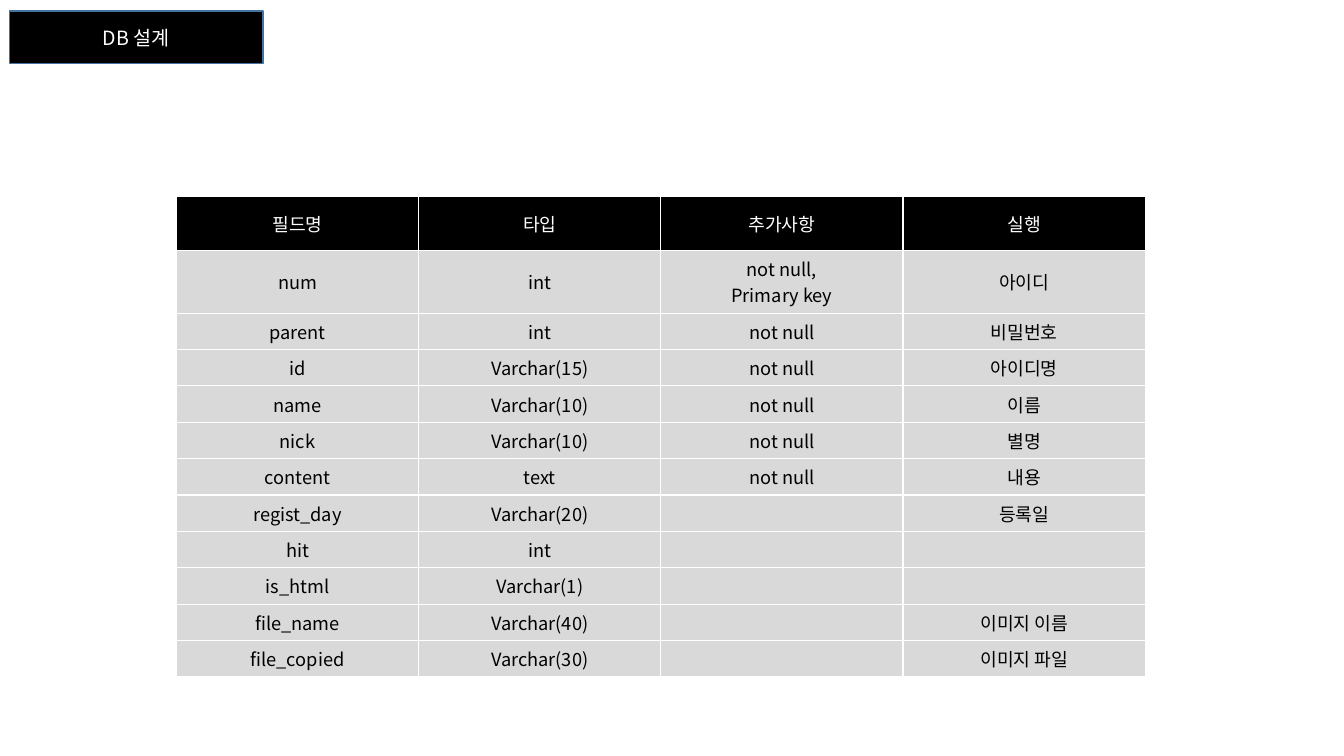
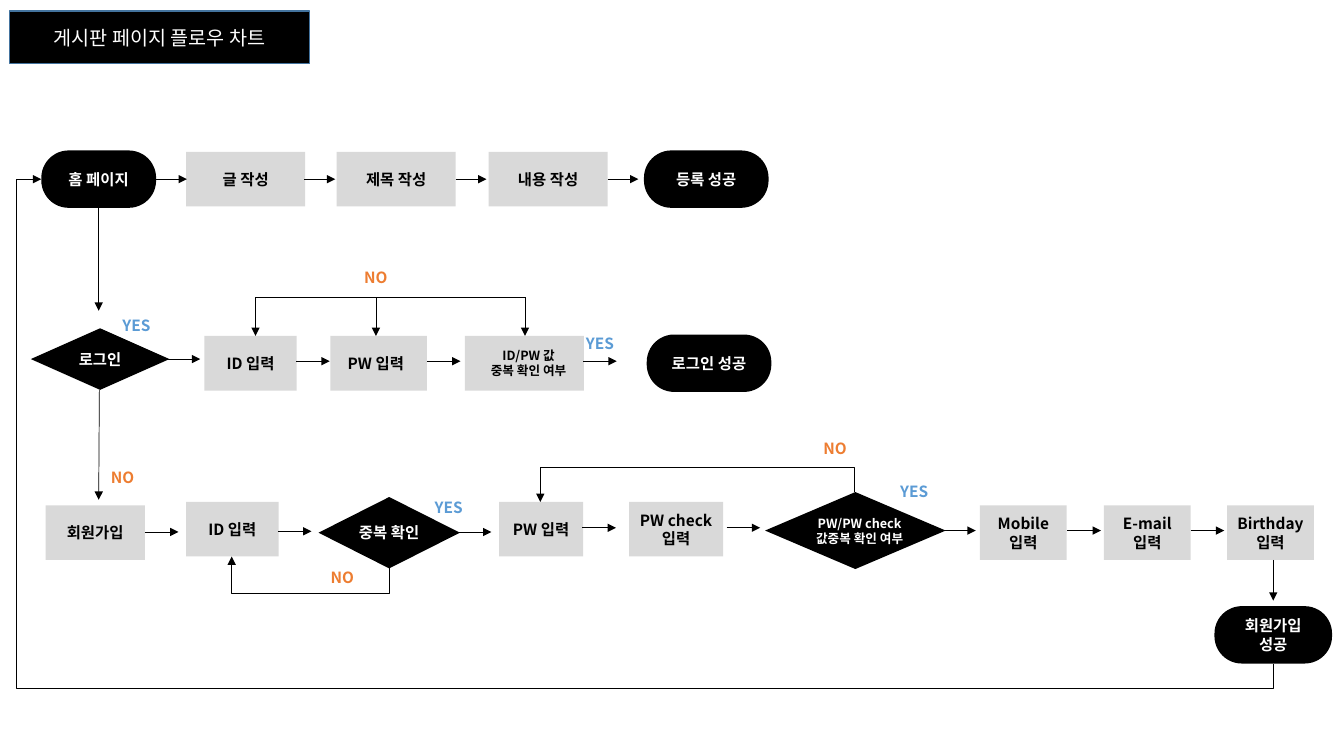
from lxml.etree import SubElement
from pptx import Presentation
from pptx.dml.color import RGBColor
from pptx.enum.shapes import MSO_CONNECTOR, MSO_SHAPE
from pptx.enum.text import MSO_ANCHOR, MSO_AUTO_SIZE, PP_ALIGN
from pptx.oxml.ns import qn
from pptx.util import Pt

BLACK = RGBColor(0x00, 0x00, 0x00)
WHITE = RGBColor(0xFF, 0xFF, 0xFF)
GRAY = RGBColor(0xD9, 0xD9, 0xD9)
NAVY = RGBColor(0x43, 0x73, 0x9E)
BLUE = RGBColor(0x5B, 0x9B, 0xD5)
ORANGE = RGBColor(0xED, 0x7D, 0x31)
FONT = "Noto Sans CJK KR"

RECT, DIAMOND, PILL = MSO_SHAPE.RECTANGLE, MSO_SHAPE.DIAMOND, MSO_SHAPE.ROUNDED_RECTANGLE
LABEL_COLORS = {"YES": BLUE, "NO": ORANGE}

FIELDS = [
    ("필드명", "타입", "추가사항", "실행"),
    ("num", "int", "not null,\nPrimary key", "아이디"),
    ("parent", "int", "not null", "비밀번호"),
    ("id", "Varchar(15)", "not null", "아이디명"),
    ("name", "Varchar(10)", "not null", "이름"),
    ("nick", "Varchar(10)", "not null", "별명"),
    ("content", "text", "not null", "내용"),
    ("regist_day", "Varchar(20)", "", "등록일"),
    ("hit", "int", "", ""),
    ("is_html", "Varchar(1)", "", ""),
    ("file_name", "Varchar(40)", "", "이미지 이름"),
    ("file_copied", "Varchar(30)", "", "이미지 파일"),
]


def write(tf, text, size=11, color=BLACK, bold=False):
    """Fill a text frame with centred paragraphs, one for each line."""
    for i, line in enumerate(text.split("\n")):
        p = tf.add_paragraph() if i else tf.paragraphs[0]
        p.alignment = PP_ALIGN.CENTER
        if not line:
            SubElement(p._p, qn("a:endParaRPr"), sz=str(size * 100))
            continue
        r = p.add_run()
        r.text = line
        r.font.size, r.font.bold, r.font.name = Pt(size), bold, FONT
        r.font.color.rgb = color
        SubElement(r.font._element, qn("a:ea"), typeface=FONT)


def add_titled_slide(prs, text, width):
    """Add a slide whose title is a black band of the given width."""
    slide = prs.slides.add_slide(prs.slide_layouts[5])
    sp = slide.shapes.title
    sp.left, sp.top, sp.width, sp.height = Pt(7), Pt(8), Pt(width), Pt(37.5)
    sp.fill.solid()
    sp.fill.fore_color.rgb = BLACK
    sp.line.color.rgb = NAVY
    sp.line.width = Pt(1)
    tf = sp.text_frame
    tf.auto_size = MSO_AUTO_SIZE.NONE
    tf.vertical_anchor = MSO_ANCHOR.MIDDLE
    write(tf, text, size=14, color=WHITE)
    return slide


def format_cell(cell, text, fill, color):
    """Give a table cell its white borders, fill and text."""
    tcPr = cell._tc.get_or_add_tcPr()
    for side in "LRTB":
        ln = SubElement(tcPr, qn(f"a:ln{side}"), w=str(Pt(1)))
        SubElement(SubElement(ln, qn("a:solidFill")), qn("a:srgbClr"), val=str(WHITE))
    cell.fill.solid()
    cell.fill.fore_color.rgb = fill
    cell.vertical_anchor = MSO_ANCHOR.MIDDLE
    write(cell.text_frame, text, size=13, color=color)


def add_field_table(slide, x, y, w):
    """Place the table of database fields."""
    heights = [38.5, 44.5] + [26] * (len(FIELDS) - 2)
    n = len(FIELDS[0])
    table = slide.shapes.add_table(
        len(FIELDS), n, Pt(x), Pt(y), Pt(w), Pt(sum(heights))).table
    for col in table.columns:
        col.width = Pt(w / n)
    for i, (fields, height) in enumerate(zip(FIELDS, heights)):
        table.rows[i].height = Pt(height)
        fill, color = (GRAY, BLACK) if i else (BLACK, WHITE)
        for j, text in enumerate(fields):
            format_cell(table.cell(i, j), text, fill, color)


def add_node(slide, kind, x, y, w, h, text, size=11, shift=0):
    """Add a flow chart step; shift moves its text sideways."""
    sp = slide.shapes.add_shape(kind, Pt(x), Pt(y), Pt(w), Pt(h))
    sp.shadow.inherit = False
    sp.fill.solid()
    sp.fill.fore_color.rgb = GRAY if kind == RECT else BLACK
    sp.line.fill.background()
    if kind == PILL:
        sp.adjustments[0] = 0.477
    tf = sp.text_frame
    tf.word_wrap = False
    tf.vertical_anchor = MSO_ANCHOR.MIDDLE
    tf.margin_left, tf.margin_right = Pt(max(0, 2 * shift)), Pt(max(0, -2 * shift))
    tf.margin_top = tf.margin_bottom = Pt(0)
    write(tf, text, size=size, color=BLACK if kind == RECT else WHITE, bold=True)


def add_label(slide, x, y, text):
    """Add a YES or NO label beside a branch."""
    w = 45 if text == "YES" else 40
    tf = slide.shapes.add_textbox(Pt(x), Pt(y), Pt(w), Pt(21)).text_frame
    tf.word_wrap = True
    write(tf, text, color=LABEL_COLORS[text], bold=True)


def format_line(cn, arrow=True):
    """Make a connector thin and black, with or without an arrowhead."""
    cn.line.color.rgb = BLACK
    cn.line.width = Pt(0.5)
    spPr = cn._element.spPr
    if arrow:
        SubElement(spPr.find(qn("a:ln")), qn("a:tailEnd"), type="triangle")
    SubElement(spPr, qn("a:effectLst"))


def add_line(slide, x1, y1, x2, y2, arrow=True):
    """Add a straight line between two points."""
    format_line(slide.shapes.add_connector(
        MSO_CONNECTOR.STRAIGHT, Pt(x1), Pt(y1), Pt(x2), Pt(y2)), arrow)


def add_loop(slide, x1, y1, x2, y2, reach=18, side=None):
    """Add a bent arrow back to the left that leaves by reach points."""
    w, h = abs(y2 - y1), abs(x2 - x1)
    cx, cy = (x1 + x2) / 2, (y1 + y2) / 2
    downward = y2 > y1
    top, bottom = cy - h / 2, cy + h / 2
    begin_y, end_y = (bottom, top) if downward else (top, bottom)
    cn = slide.shapes.add_connector(
        MSO_CONNECTOR.ELBOW, Pt(cx + w / 2), Pt(begin_y), Pt(cx - w / 2), Pt(end_y))
    spPr = cn._element.spPr
    spPr.find(qn("a:xfrm")).set("rot", str((270 if downward else 90) * 60000))
    ratios = [-reach / w]
    if side is not None:
        ratios.append((x1 - side) / h)
    geom = spPr.find(qn("a:prstGeom"))
    geom.set("prst", f"bentConnector{len(ratios) + 2}")
    avLst = geom.find(qn("a:avLst"))
    if avLst is None:
        avLst = SubElement(geom, qn("a:avLst"))
    for i, ratio in enumerate(ratios, 1):
        SubElement(avLst, qn("a:gd"), name=f"adj{i}", fmla=f"val {round(ratio * 100000)}")
    format_line(cn)


def add_post_flow(slide, x, y):
    """Place the steps from the home page to a finished post."""
    add_node(slide, PILL, x, y, 82, 41, "홈 페이지")
    for dx, text in ((103.5, "글 작성"), (211, "제목 작성"), (319.5, "내용 작성")):
        add_node(slide, RECT, x + dx, y + 1, 85, 39, text)
    add_node(slide, PILL, x + 430.5, y, 89, 41, "등록 성공")
    for dx in (82, 188, 296, 404.5):
        add_line(slide, x + dx, y + 20.5, x + dx + 22, y + 20.5)


def add_login_flow(slide, x, y):
    """Place the login steps with their way back."""
    add_node(slide, DIAMOND, x, y + 46.5, 99, 44, "로그인")
    for dx, w, text, size, shift in (
            (124, 66, "ID 입력", 11, 0),
            (214, 69, "PW 입력", 11, -2),
            (310, 85, "ID/PW 값\n중복 확인 여부", 9, 3)):
        add_node(slide, RECT, x + dx, y + 52, w, 39, text, size=size, shift=shift)
    add_node(slide, PILL, x + 440, y + 51, 89, 41, "로그인 성공")
    for dx, dy in ((97, 68.5), (189.5, 70), (283, 70), (394.5, 70)):
        add_line(slide, x + dx, y + dy, x + dx + 24, y + dy)
    drops = (160.5, 246.5, 353)
    add_line(slide, x + drops[0], y + 24.5, x + drops[-1], y + 24.5, arrow=False)
    for dx in drops:
        add_line(slide, x + dx, y + 24.5, x + dx, y + 52)
    for dx, dy, text in ((226.5, 0, "NO"), (53, 34, "YES"), (384, 47, "YES")):
        add_label(slide, x + dx, y + dy, text)


def add_signup_flow(slide, x, y):
    """Place the sign-up steps with their two loops."""
    for kind, dx, dy, w, h, text in (
            (RECT, 10.5, 51, 71, 39, "회원가입"),
            (RECT, 111, 48.5, 66, 39, "ID 입력"),
            (DIAMOND, 205.5, 45, 101, 51, "중복 확인"),
            (RECT, 334.5, 48.5, 60, 39, "PW 입력"),
            (RECT, 427.5, 48.5, 67, 39, "PW check\n입력"),
            (RECT, 678, 51, 62, 39, "Mobile\n입력"),
            (RECT, 766.5, 51, 62, 39, "E-mail\n입력"),
            (RECT, 854.5, 51, 62, 39, "Birthday\n입력"),
            (PILL, 845.5, 123, 84, 41, "회원가입\n성공")):
        add_node(slide, kind, x + dx, y + dy, w, h, text)
    add_node(slide, DIAMOND, x + 524.5, y + 41.5, 129, 55,
             "PW/PW check\n값중복 확인 여부", size=9, shift=3)
    for dx, dy in ((81.5, 70), (176.5, 69.5), (305, 70), (394, 67),
                   (497, 67), (651, 69), (740.5, 69), (828.5, 69)):
        add_line(slide, x + dx, y + dy, x + dx + 24, y + dy)
    add_line(slide, x + 887.5, y + 90, x + 887.5, y + 119)
    add_loop(slide, x + 256, y + 96, x + 143.5, y + 87.5)
    add_loop(slide, x + 588.5, y + 41.5, x + 364, y + 48.5)
    for dx, dy, text in ((45.5, 20.5, "NO"), (202.5, 92.5, "NO"), (276, 42, "YES"),
                         (554.5, 0, "NO"), (608.5, 30.5, "YES")):
        add_label(slide, x + dx, y + dy, text)


def build_db_slide(prs):
    """Build the slide with the database design."""
    slide = add_titled_slide(prs, "DB 설계", 181)
    add_field_table(slide, 126, 140.5, 692)


def build_flow_slide(prs):
    """Build the slide with the flow chart of the board."""
    slide = add_titled_slide(prs, "게시판 페이지 플로우 차트", 214)
    add_post_flow(slide, 29.5, 107.5)
    add_login_flow(slide, 22, 188)
    add_signup_flow(slide, 22, 310)
    add_line(slide, 70.5, 148.5, 70.5, 222)
    add_line(slide, 71, 278.5, 70.5, 357)
    add_loop(slide, 909.5, 474, 29.5, 128, side=12)


def main():
    """Build and save the presentation."""
    prs = Presentation()
    prs.slide_width, prs.slide_height = Pt(960), Pt(540)
    build_db_slide(prs)
    build_flow_slide(prs)
    prs.save("out.pptx")


if __name__ == "__main__":
    main()
